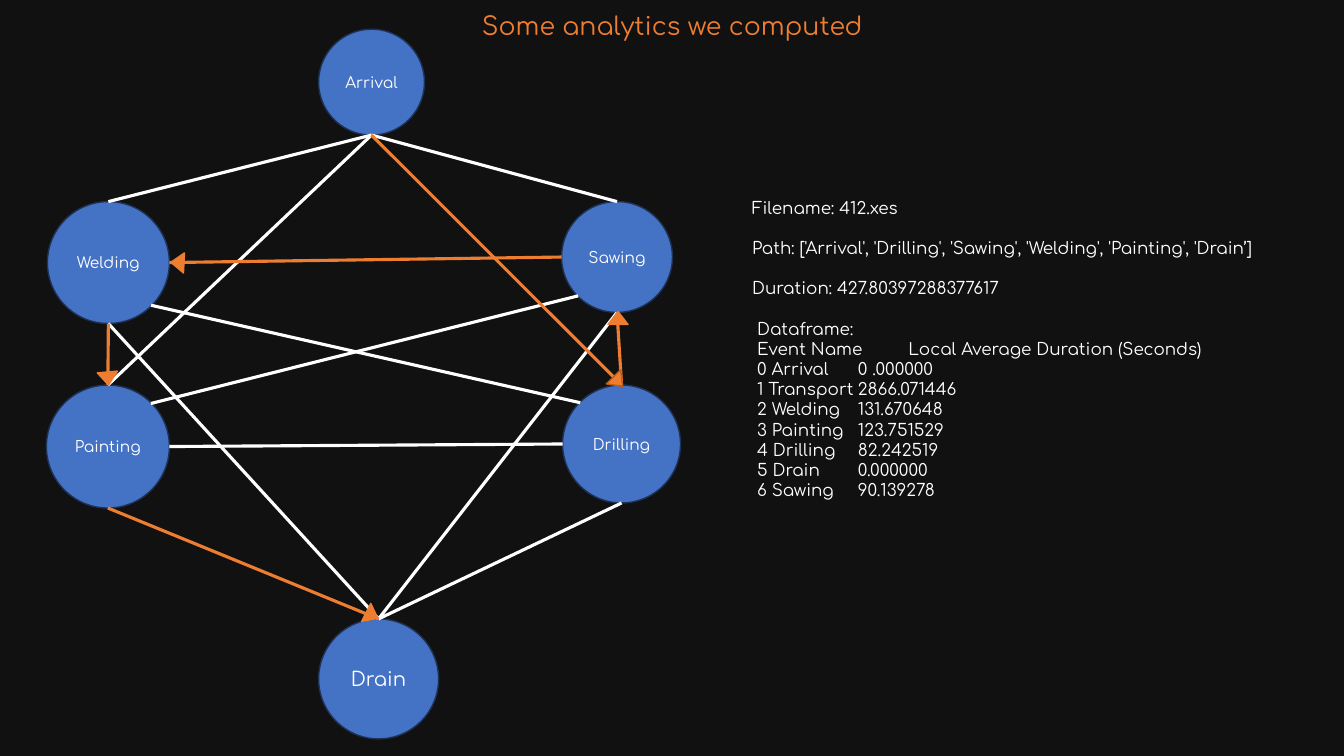
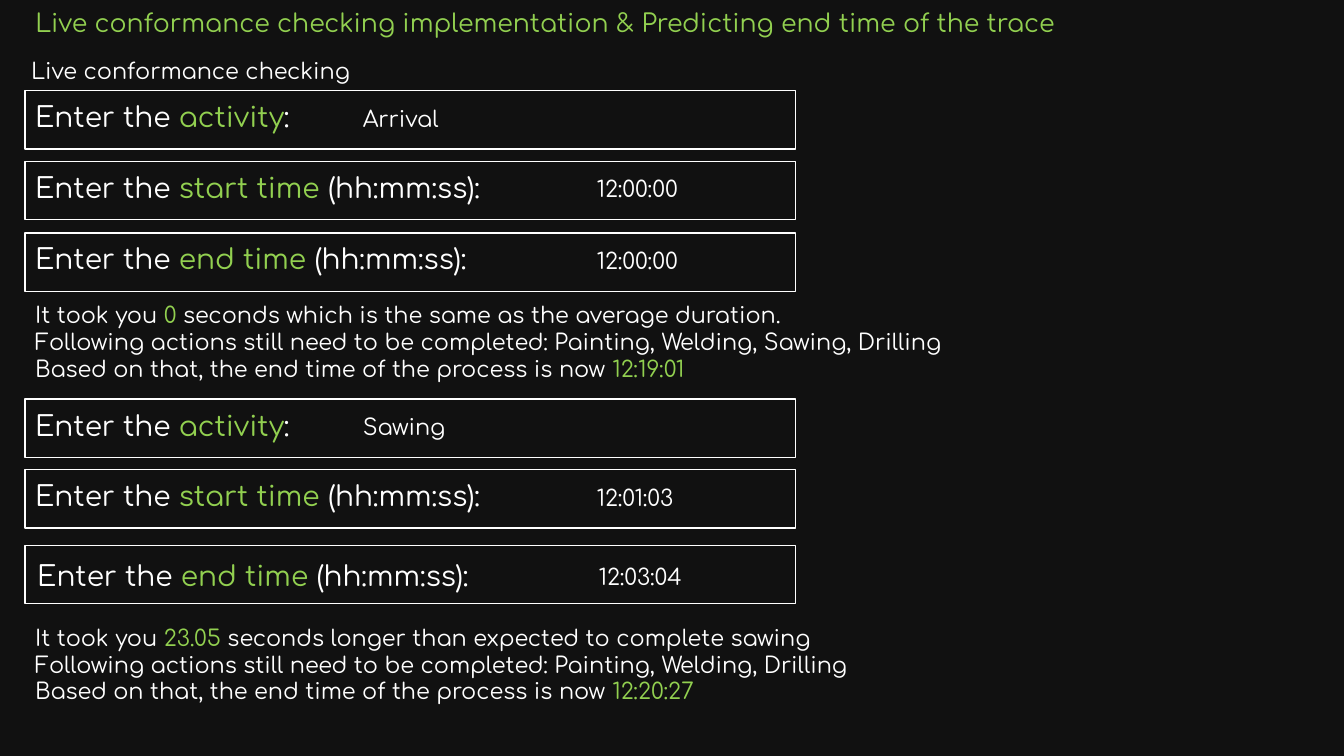
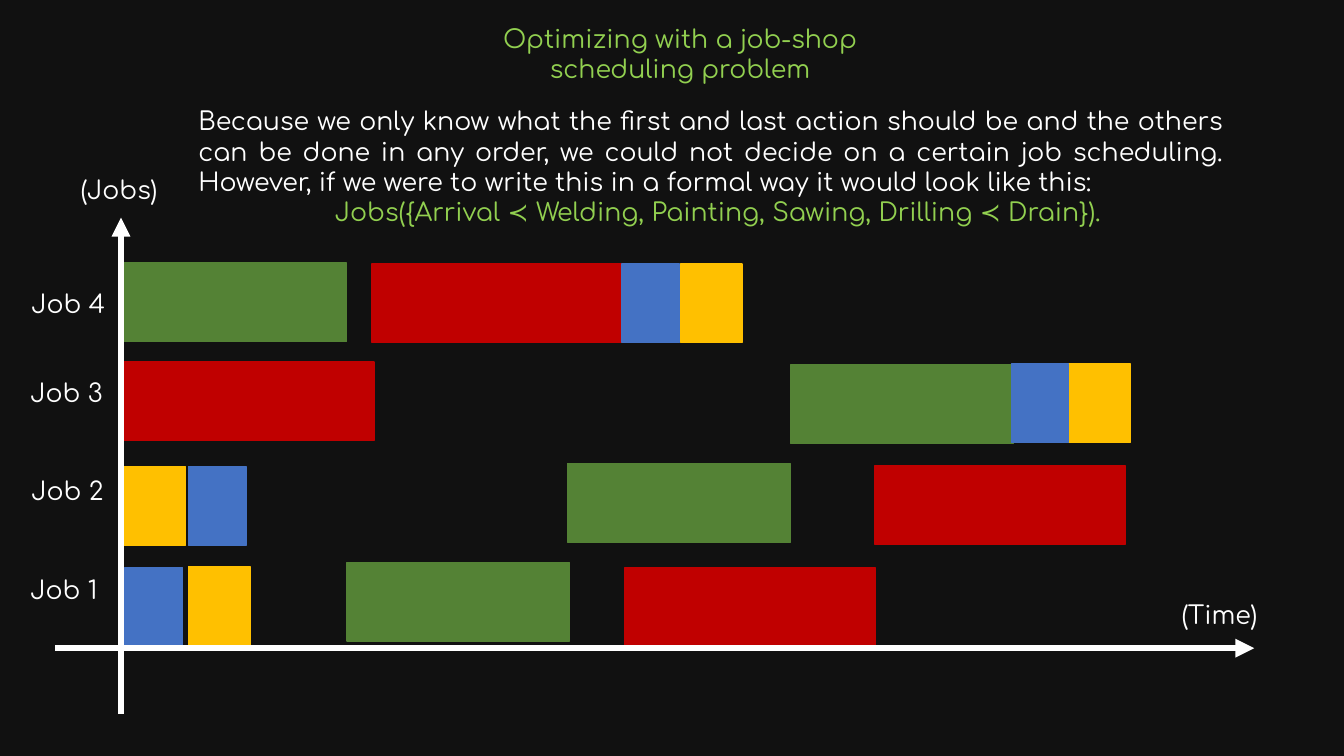
from dataclasses import dataclass

from lxml import etree
from pptx import Presentation
from pptx.dml.color import RGBColor
from pptx.enum.shapes import MSO_CONNECTOR as Connector, MSO_SHAPE as Preset
from pptx.enum.text import MSO_ANCHOR as Anchor, MSO_AUTO_SIZE as AutoSize, PP_ALIGN as Align
from pptx.oxml.ns import qn
from pptx.util import Inches, Pt


@dataclass(frozen=True)
class Theme:
    """Colours, font and type sizes shared by the slides."""
    font: str = "Comfortaa"
    ground: str = "111111"
    white: str = "FFFFFF"
    lime: str = "92D050"
    orange: str = "ED7D31"
    rust: str = "C55A11"
    blue: str = "4472C4"
    navy: str = "1E3256"
    green: str = "548235"
    red: str = "C00000"
    yellow: str = "FFC000"
    node: int = 11
    data: int = 12
    terminal: int = 14
    body: int = 16
    heading: int = 18
    prompt: int = 20


THEME = Theme()

NODES = {
    "Arrival": (2.7, 0, 1.05, THEME.node),
    "Drain": (2.7, 5.85, 1.19, THEME.terminal),
    "Welding": (0.01, 1.71, 1.21, THEME.node),
    "Sawing": (5.11, 1.71, 1.1, THEME.node),
    "Painting": (0, 3.53, 1.22, THEME.node),
    "Drilling": (5.12, 3.53, 1.17, THEME.node),
}
SITES = {
    "top": (0.5, 0), "bottom": (0.5, 1), "left": (0, 0.5), "right": (1, 0.5),
    "top left": (0.15, 0.15), "top right": (0.85, 0.15),
    "bottom left": (0.15, 0.85), "bottom right": (0.85, 0.85),
}
OTHER_EDGES = [
    ("Arrival", "bottom", "Welding", "top"),
    ("Arrival", "bottom", "Sawing", "top"),
    ("Arrival", "bottom", "Painting", "top"),
    ("Painting", "right", "Drilling", "left"),
    ("Welding", "bottom right", "Drilling", "top left"),
    ("Sawing", "bottom left", "Painting", "top right"),
    ("Welding", "bottom", "Drain", "top"),
    ("Sawing", "bottom", "Drain", "top"),
    ("Drilling", "bottom", "Drain", "top"),
]
TRACE_EDGES = [
    ("Arrival", "bottom", "Drilling", "top"),
    ("Sawing", "bottom", "Drilling", "top"),
    ("Sawing", "left", "Welding", "right"),
    ("Welding", "bottom", "Painting", "top"),
    ("Painting", "bottom", "Drain", "top"),
]
TRACE_HEADS = [
    (5.57, 3.43, 135.6, THEME.rust),
    (5.57, 2.8, 0, THEME.orange),
    (1.2, 2.25, 272.9, THEME.orange),
    (0.51, 3.4, 175, THEME.orange),
    (3.13, 5.75, 117, THEME.orange),
]

SUMMARY = [
    "Filename: 412.xes",
    "Path: ['Arrival', 'Drilling', 'Sawing', 'Welding', 'Painting', 'Drain’]",
    "Duration: 427.80397288377617",
]
DATAFRAME = [
    ("Event Name", "Local Average Duration (Seconds)"),
    ("0 Arrival", "0 .000000"),
    ("1 Transport", "2866.071446"),
    ("2 Welding", "131.670648"),
    ("3 Painting", "123.751529"),
    ("4 Drilling", "82.242519"),
    ("5 Drain", "0.000000"),
    ("6 Sawing", "90.139278"),
]

PROMPTS = [
    ("Enter the |activity|:", 3.25),
    ("Enter the |start time |(hh:mm:ss):", 5.57),
    ("Enter the |end time |(hh:mm:ss):", 5.57),
]
ARRIVAL_ENTRY = {
    "fields": [("Arrival", 0, 0, 0), ("12:00:00", 0.7, 0, 0), ("12:00:00", 1.41, 0, 0)],
    "reply_top": 2.04,
    "reply": [
        "It took you |0 |seconds which is the same as the average duration.",
        "Following actions still need to be completed: Painting, Welding, Sawing, Drilling",
        "Based on that, the end time of the process is now |12:19:01",
    ],
}
SAWING_ENTRY = {
    "fields": [("Sawing", 0, 0, 0), ("12:01:03", 0.7, 0, 0), ("12:03:04", 1.45, 0.02, 0.04)],
    "reply_top": 2.18,
    "reply": [
        "It took you |23.05| seconds longer than expected to complete sawing",
        "Following actions still need to be completed: Painting, Welding, Drilling",
        "Based on that, the end time of the process is now |12:20:27",
    ],
}

BAR_WIDTHS = {THEME.green: 2.21, THEME.red: 2.48, THEME.yellow: 0.61, THEME.blue: 0.57}
JOBS = [
    ("Job 4", 0.01, 1.13, [(THEME.green, 1.03, 0.93), (THEME.red, 3.49, 0.94),
                           (THEME.yellow, 6.55, 0.94), (THEME.blue, 5.97, 0.94)]),
    ("Job 3", 0, 2.01, [(THEME.red, 1.03, 1.91), (THEME.green, 7.64, 1.94),
                        (THEME.yellow, 10.4, 1.93), (THEME.blue, 9.83, 1.93)]),
    ("Job 2", 0.01, 2.99, [(THEME.yellow, 1.03, 2.95), (THEME.blue, 1.67, 2.95),
                           (THEME.green, 5.43, 2.92), (THEME.red, 8.48, 2.94)]),
    ("Job 1", 0, 3.97, [(THEME.blue, 1.04, 3.95), (THEME.yellow, 1.67, 3.94),
                        (THEME.green, 3.24, 3.9), (THEME.red, 6, 3.95)]),
]


def assign(target, formats):
    """Set each attribute in formats on target."""
    for attribute, value in formats.items():
        setattr(target, attribute, value)


def rgb(colour):
    """Turn a hex string into a colour."""
    return RGBColor.from_string(colour)


def write(paragraph, text, size, colour=THEME.white, align=Align.LEFT):
    """Write text whose parts between bars alternate with the accent colour."""
    paragraph.alignment = align
    for position, part in enumerate(text.split("|")):
        if part:
            run = paragraph.add_run()
            run.text = part
            assign(run.font, {"name": THEME.font, "size": Pt(size)})
            run.font.color.rgb = rgb(THEME.lime if position % 2 else colour)


def add_text(slide, box, lines, size):
    """Add a wrapping text box and return its frame."""
    frame = slide.shapes.add_textbox(*map(Inches, box)).text_frame
    frame.word_wrap = True
    for position, line in enumerate(lines):
        write(frame.add_paragraph() if position else frame.paragraphs[0], line, size)
    return frame


def add_preset(slide, preset, box, fill, outline):
    """Add a flat preset shape with a one point outline."""
    shape = slide.shapes.add_shape(preset, *map(Inches, box))
    shape.shadow.inherit = False
    if fill:
        shape.fill.solid()
        shape.fill.fore_color.rgb = rgb(fill)
    else:
        shape.fill.background()
    shape.line.color.rgb = rgb(outline)
    shape.line.width = Pt(1)
    return shape


def add_line(slide, start, end, colour, width, arrow=False):
    """Add a straight connector, with an arrowhead at its end if asked."""
    connector = slide.shapes.add_connector(Connector.STRAIGHT, *map(Inches, (*start, *end)))
    connector.line.color.rgb = rgb(colour)
    connector.line.width = Pt(width)
    if arrow:
        etree.SubElement(connector.line._get_or_add_ln(), qn("a:tailEnd"), type="triangle")
    etree.SubElement(connector._element.spPr, qn("a:effectLst"))


def add_titled_slide(deck, title, box, colour, align=Align.LEFT):
    """Add a title-only slide and place its title."""
    slide = deck.slides.add_slide(deck.slide_layouts[5])
    holder = slide.shapes.title
    assign(holder, dict(zip(("left", "top", "width", "height"), map(Inches, box))))
    assign(holder.text_frame, {"vertical_anchor": Anchor.TOP, "word_wrap": True,
                               "auto_size": AutoSize.NONE})
    write(holder.text_frame.paragraphs[0], title, THEME.heading, colour, align)
    return slide


def add_process_graph(slide, left, top):
    """Draw the activities, their links and the path of the trace."""
    for activity, (x, y, diameter, size) in NODES.items():
        node = add_preset(slide, Preset.OVAL, (left + x, top + y, diameter, diameter),
                          THEME.blue, THEME.navy)
        assign(node.text_frame, {"word_wrap": False, "vertical_anchor": Anchor.MIDDLE})
        write(node.text_frame.paragraphs[0], activity, size, align=Align.CENTER)

    def site(activity, side):
        """Find a point on the rim of a node."""
        x, y, diameter, _ = NODES[activity]
        across, down = SITES[side]
        return left + x + across * diameter, top + y + down * diameter

    for edges, colour in ((OTHER_EDGES, THEME.white), (TRACE_EDGES, THEME.orange)):
        for source, source_side, target, target_side in edges:
            add_line(slide, site(source, source_side), site(target, target_side), colour, 2.25)
    for x, y, angle, outline in TRACE_HEADS:
        head = add_preset(slide, Preset.ISOSCELES_TRIANGLE, (left + x, top + y, 0.2, 0.13),
                          THEME.orange, outline)
        head.rotation = angle


def add_trace_report(slide, left, top):
    """Write the trace summary and its tabbed durations."""
    rows = ["Dataframe:"] + ["\t".join(row) for row in DATAFRAME]
    frame = add_text(slide, (left, top, 5.87, 3.2), SUMMARY + rows, THEME.data)
    assign(frame, dict.fromkeys(("margin_left", "margin_top", "margin_right", "margin_bottom"), 0))
    for paragraph in frame.paragraphs[1:len(SUMMARY) + 1]:
        paragraph.space_before = Pt(14.4)
    for paragraph in frame.paragraphs[len(SUMMARY):]:
        properties = paragraph._p.get_or_add_pPr()
        properties.set("marL", str(Inches(0.05)))
        properties.set("indent", "0")
        stops = etree.SubElement(properties, qn("a:tabLst"))
        etree.SubElement(stops, qn("a:tab"), pos=str(Inches(2.04)), algn="l")


def add_entry(slide, left, top, entry):
    """Draw three filled-in prompts and the reply below them."""
    for (prompt, value_x), (value, y, shift_x, shift_y) in zip(PROMPTS, entry["fields"]):
        add_preset(slide, Preset.RECTANGLE, (left, top + y, 7.64, 0.58), None, THEME.white)
        x, text_top = left + shift_x, top + y + shift_y
        add_text(slide, (x, text_top + 0.04, 6.2, 0.44), [prompt], THEME.prompt)
        add_text(slide, (x + value_x, text_top + 0.09, 3.03, 0.37), [value], THEME.body)
    add_text(slide, (left, top + entry["reply_top"], 12.57, 0.94), entry["reply"], THEME.body)


def add_schedule(slide, left, top):
    """Draw the job bars with their labels and axes."""
    labels = [("(Time)", 11.42, 4.22), ("(Jobs)", 0.5, 0)] + [job[:3] for job in JOBS]
    for label, x, y in labels:
        add_text(slide, (left + x, top + y, 1.02, 0.4), [label], THEME.heading)
    for *_, bars in JOBS:
        for colour, x, y in bars:
            add_preset(slide, Preset.RECTANGLE, (left + x, top + y, BAR_WIDTHS[colour], 0.78),
                       colour, colour)
    for start, end in (((1, 5.4), (1, 0.48)), ((0.35, 4.75), (12.24, 4.75))):
        add_line(slide, (left + start[0], top + start[1]), (left + end[0], top + end[1]),
                 THEME.white, 4.5, arrow=True)


def add_formal_statement(slide, left, top):
    """Write the justified explanation and the formal job order."""
    frame = add_text(slide, (left, top, 10.36, 1.31), [
        "Because we only know what the first and last action should be and the others can be done "
        "in any order, we could not decide on a certain job scheduling. However, if we were to "
        "write this in a formal way it would look like this:",
        "|Jobs({Arrival ≺ Welding, Painting, Sawing, Drilling ≺ Drain}).",
    ], THEME.heading)
    explanation, order = frame.paragraphs
    explanation.alignment = Align.JUSTIFY
    order.alignment = Align.CENTER
    order._p.get_or_add_pPr().set("marL", str(Inches(0.14)))


def main():
    """Build and save the three slides."""
    deck = Presentation()
    assign(deck, {"slide_width": Inches(13.33), "slide_height": Inches(7.5)})
    ground = deck.slide_master.background.fill
    ground.solid()
    ground.fore_color.rgb = rgb(THEME.ground)

    analytics = add_titled_slide(deck, "Some analytics we computed",
                                 (4.68, 0.05, 5.01, 0.4), THEME.orange)
    add_process_graph(analytics, 0.46, 0.29)
    add_trace_report(analytics, 7.46, 1.96)

    checking = add_titled_slide(
        deck, "Live conformance checking implementation & Predicting end time of the trace",
        (0.25, 0.02, 11.95, 0.4), THEME.lime)
    add_text(checking, (0.21, 0.52, 4.98, 0.37), ["Live conformance checking"], THEME.body)
    add_entry(checking, 0.25, 0.9, ARRIVAL_ENTRY)
    add_entry(checking, 0.25, 3.96, SAWING_ENTRY)

    scheduling = add_titled_slide(deck, "Optimizing with a job-shop scheduling problem",
                                  (4.28, 0.18, 4.93, 0.71), THEME.lime, Align.CENTER)
    add_formal_statement(scheduling, 1.87, 1)
    add_schedule(scheduling, 0.2, 1.68)

    deck.save("out.pptx")


if __name__ == "__main__":
    main()
